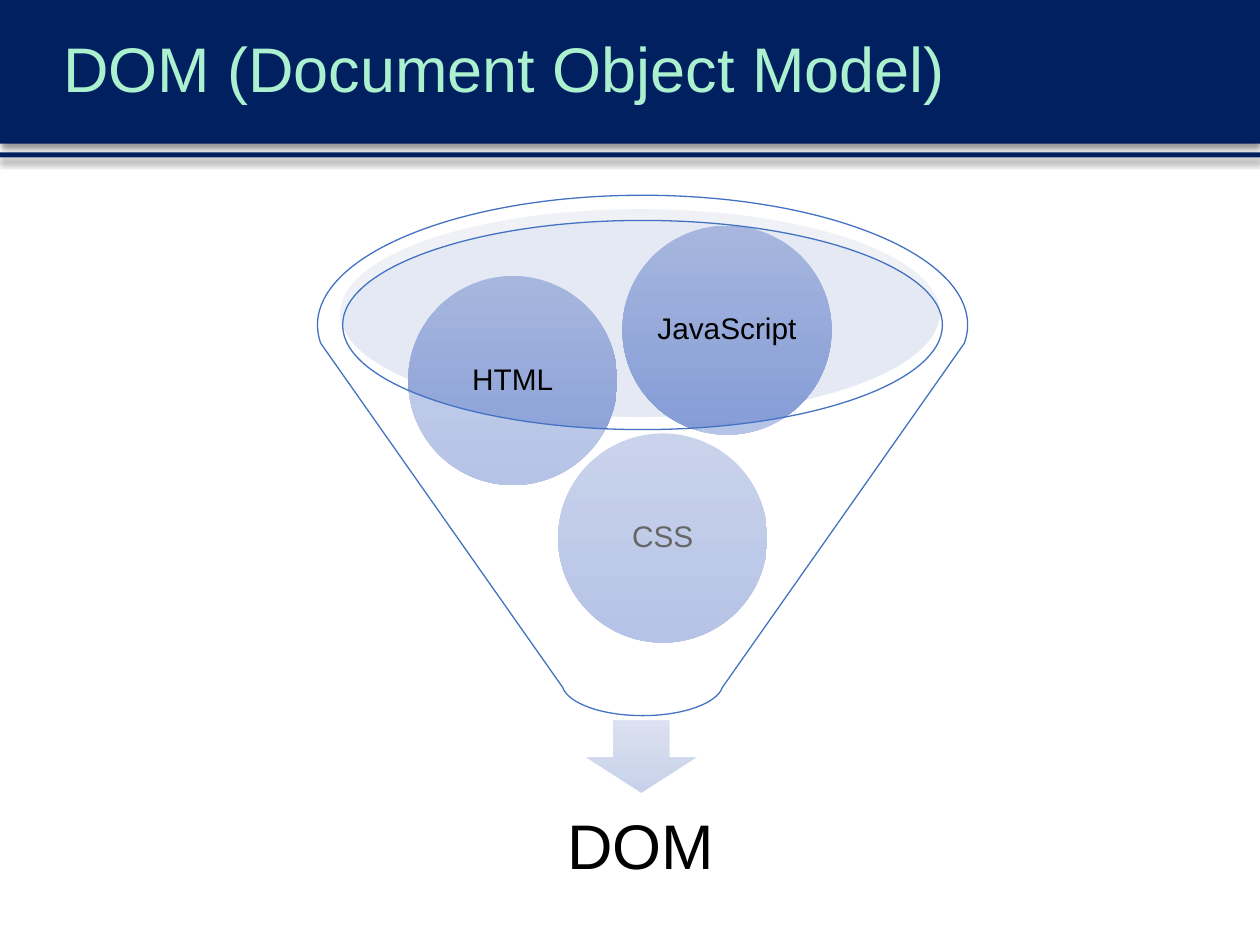
from itertools import pairwise
from math import cos, radians, sin, tan

from lxml.etree import SubElement
from pptx import Presentation
from pptx.dml.color import RGBColor
from pptx.enum.shapes import MSO_SHAPE
from pptx.enum.text import MSO_ANCHOR, MSO_AUTO_SIZE, PP_ALIGN
from pptx.oxml import parse_xml
from pptx.oxml.ns import nsdecls, qn
from pptx.util import Inches, Pt

NAVY, MINT, WHITE, BLUE = "002060", "ABF1CF", "FFFFFF", "4372C3"
CENTER_X, RIM_Y = 5.1, 2.58
SHADOW = (
    f'<a:effectLst {nsdecls("a")}><a:outerShdw blurRad="50800" dist="38100" dir="5400000" '
    'rotWithShape="0"><a:srgbClr val="000000"><a:alpha val="40000"/></a:srgbClr>'
    '</a:outerShdw></a:effectLst>'
)


def paint(shape, *colors, opacity=100):
    """Fill with one colour, or with a gradient running down through two."""
    shape.shadow.inherit = False
    shape.line.fill.background()
    if len(colors) == 2:
        shape.fill.gradient()
        shape.fill.gradient_angle = 270
        for position, (stop, color) in enumerate(zip(shape.fill.gradient_stops, colors)):
            stop.color.rgb = RGBColor.from_string(color)
            stop.position = position
        return
    shape.fill.solid()
    shape.fill.fore_color.rgb = RGBColor.from_string(colors[0])
    if opacity < 100:
        color_element = shape.element.spPr.find(qn("a:solidFill"))[0]
        SubElement(color_element, qn("a:alpha"), val=str(opacity * 1000))


def write(shape, text, size, color="000000", align=PP_ALIGN.CENTER, inset=None):
    frame = shape.text_frame
    frame.text = text
    frame.word_wrap = True
    frame.auto_size = MSO_AUTO_SIZE.NONE
    frame.vertical_anchor = MSO_ANCHOR.MIDDLE
    if inset is not None:
        frame.margin_left = frame.margin_right = Inches(inset)
        frame.margin_top = frame.margin_bottom = Inches(inset)
    paragraph = frame.paragraphs[0]
    paragraph.alignment = align
    paragraph.line_spacing = 0.9
    paragraph.font.name = "Arial"
    paragraph.font.size = Pt(size)
    paragraph.font.color.rgb = RGBColor.from_string(color)


presentation = Presentation()
presentation.slide_width, presentation.slide_height = Inches(10), Inches(7.5)
slide = presentation.slides.add_slide(presentation.slide_layouts[5])
shapes = slide.shapes

# Title over the header bars
title = shapes.title
title.left, title.top, title.width, title.height = map(Inches, (0.4, 0, 9.6, 1.14))
write(title, "DOM (Document Object Model)", 36, MINT, PP_ALIGN.LEFT)
for top, height in ((0, 1.14), (1.21, 0.04)):
    bar = shapes.add_shape(MSO_SHAPE.RECTANGLE, 0, Inches(top), Inches(10), Inches(height))
    paint(bar, NAVY)
    properties = bar.element.spPr
    properties.replace(properties.find(qn("a:effectLst")), parse_xml(SHADOW))
    title.element.addprevious(bar.element)

# Funnel mouth, output arrow and result
mouth = shapes.add_shape(MSO_SHAPE.OVAL, Inches(2.7), Inches(1.66), Inches(4.76), Inches(1.65))
paint(mouth, "BFC8E3", opacity=40)

arrow = shapes.add_shape(
    MSO_SHAPE.DOWN_ARROW, Inches(4.63), Inches(5.71), Inches(0.92), Inches(0.59))
paint(arrow, "DBE1F1", "C7D1E9")
arrow.line.color.rgb = RGBColor.from_string(WHITE)
arrow.line.width = Pt(0.75)

result = shapes.add_textbox(Inches(2.87), Inches(6.18), Inches(4.43), Inches(1.11))
write(result, "DOM", 36, inset=0.28)

# Ingredients
for name, left, top in (("CSS", 4.43, 3.44), ("HTML", 3.24, 2.19), ("JavaScript", 4.94, 1.79)):
    ball = shapes.add_shape(
        MSO_SHAPE.OVAL, Inches(left), Inches(top), Inches(1.66), Inches(1.66))
    paint(ball, "A6B6DE", "859CD6")
    write(ball, name, 17, inset=0.02)

# Funnel wall: rim, spout and opening as Bézier arcs (centre y, radii, end angles of each curve)
arcs = []
for center_y, radius_x, radius_y, angles in (
    (RIM_Y, 2.58, 1.03, (172, 180, 270, 360, 368)),
    (5.42, 0.64, 0.26, (8, 90, 172)),
    (RIM_Y, 2.38, 0.83, (360, 270, 180, 90, 0)),
):
    unit_points = [(cos(radians(angles[0])), sin(radians(angles[0])))]
    for start, end in pairwise(map(radians, angles)):
        handle = 4 / 3 * tan((end - start) / 4)
        unit_points += [
            (cos(start) - handle * sin(start), sin(start) + handle * cos(start)),
            (cos(end) + handle * sin(end), sin(end) - handle * cos(end)),
            (cos(end), sin(end)),
        ]
    arcs.append([(Inches(CENTER_X + radius_x * x), Inches(center_y + radius_y * y))
                 for x, y in unit_points])
rim, spout, opening = arcs
builder = shapes.build_freeform(*rim[0])
builder.add_line_segments(rim[1:] + spout, close=True)
builder.move_to(*opening[0])
builder.add_line_segments(opening[1:], close=True)
funnel = builder.convert_to_shape()

# Turn each handle-handle-end triple into a curve; the straight side before the spout stays
segments = list(funnel.element.iter(qn("a:lnTo")))
segments.pop(len(rim) - 1)
for index in range(0, len(segments), 3):
    triple = segments[index:index + 3]
    curve = triple[0].makeelement(qn("a:cubicBezTo"))
    triple[0].addprevious(curve)
    for segment in triple:
        curve.append(segment[0])
        segment.getparent().remove(segment)

paint(funnel, WHITE, opacity=40)
funnel.line.color.rgb = RGBColor.from_string(BLUE)
funnel.line.width = Pt(0.75)

presentation.save("out.pptx")
